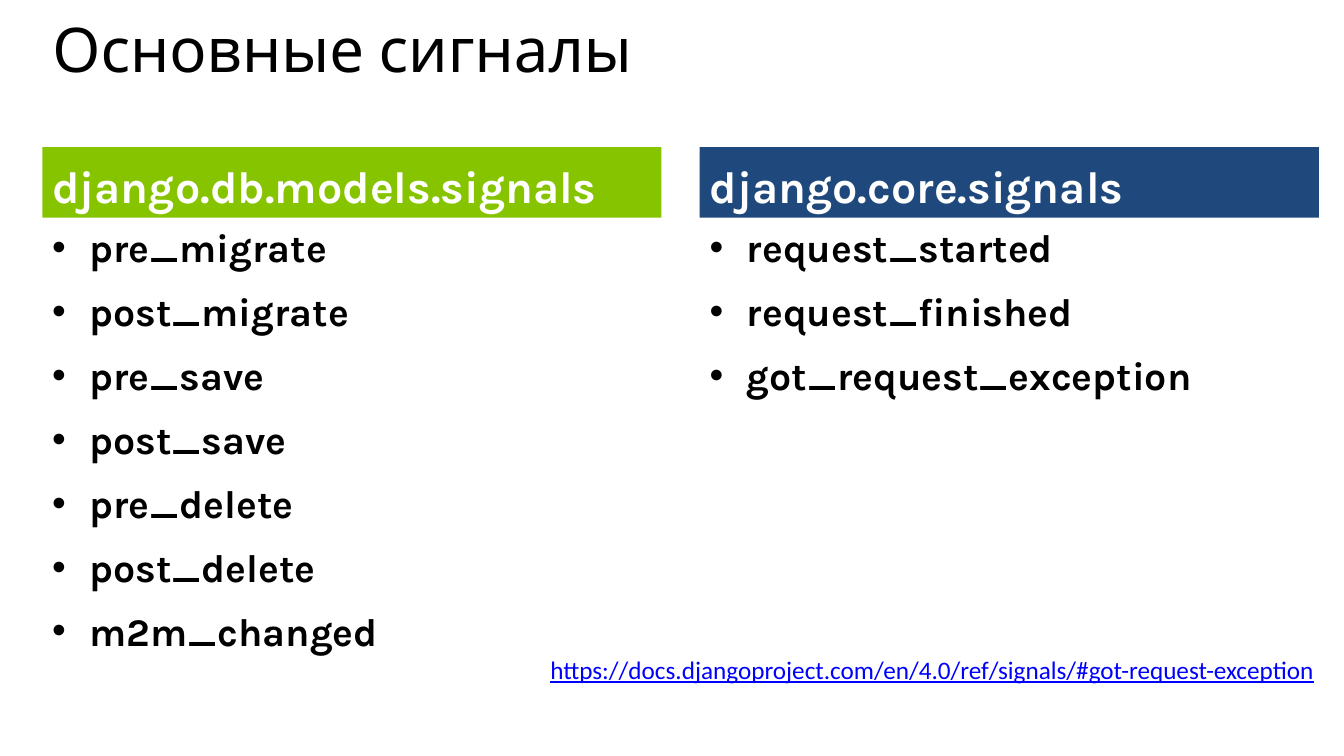
from lxml import etree
from pptx import Presentation
from pptx.dml.color import RGBColor
from pptx.enum import shapes, text
from pptx.oxml.ns import qn
from pptx.util import Inches, Pt

TITLE = "Основные сигналы"
COLUMNS = [
    ("django.db.models.signals", "86C400",
     ["pre_migrate", "post_migrate", "pre_save", "post_save",
      "pre_delete", "post_delete", "m2m_changed"]),
    ("django.core.signals", "1F497D",
     ["request_started", "request_finished", "got_request_exception"]),
]
LINK = "https://docs.djangoproject.com/en/4.0/ref/signals/#got-request-exception"

LEFT, COLUMN_WIDTH, COLUMN_STEP = 0.42, 6.14, 6.52
HEADER_TOP, HEADER_HEIGHT, LIST_HEIGHT = 1.46, 0.7, 5.08
INDENT = Inches(0.37)


def color(value):
    return RGBColor.from_string(value)


def style(para, font, size, fill, bold=False):
    para.font.name = font
    para.font.size = Pt(size)
    para.font.bold = bold
    para.font.color.rgb = color(fill)


def add_bullet(para):
    props = para._p.get_or_add_pPr()
    props.set("marL", str(INDENT))
    props.set("indent", str(-INDENT))
    etree.SubElement(props, qn("a:buFont")).set("typeface", "Arial")
    etree.SubElement(props, qn("a:buChar")).set("char", "•")


def add_header(page, left, name, fill):
    box = page.shapes.add_shape(
        shapes.MSO_SHAPE.RECTANGLE, Inches(left), Inches(HEADER_TOP),
        Inches(COLUMN_WIDTH), Inches(HEADER_HEIGHT))
    box.shadow.inherit = False
    box.fill.solid()
    box.fill.fore_color.rgb = color(fill)
    box.line.fill.background()
    frame = box.text_frame
    frame.word_wrap = True
    frame.vertical_anchor = text.MSO_ANCHOR.BOTTOM
    para = frame.paragraphs[0]
    para.text = name
    para.alignment = text.PP_ALIGN.LEFT
    style(para, "Karla", 32, "FFFFFF", bold=True)


def add_list(page, left, signals):
    box = page.shapes.add_textbox(
        Inches(left), Inches(HEADER_TOP + HEADER_HEIGHT + 0.01),
        Inches(COLUMN_WIDTH), Inches(LIST_HEIGHT))
    frame = box.text_frame
    frame.word_wrap = True
    for index, signal in enumerate(signals):
        para = frame.add_paragraph() if index else frame.paragraphs[0]
        para.text = signal
        add_bullet(para)
        style(para, "Karla", 28, "000000", bold=True)
        if index:
            para.space_before = Pt(12)


deck = Presentation()
deck.slide_width, deck.slide_height = Inches(13.33), Inches(7.5)
page = deck.slides.add_slide(deck.slide_layouts[5])

# Title
title = page.shapes.title
title.left, title.top = Inches(LEFT), Inches(0.2)
title.width, title.height = Inches(12.6), Inches(1.16)
title.text_frame.vertical_anchor = text.MSO_ANCHOR.TOP
heading = title.text_frame.paragraphs[0]
heading.text = TITLE
heading.alignment = text.PP_ALIGN.LEFT
heading.line_spacing = 0.8
style(heading, "Karla", 44, "000000")

# Signal columns
for number, (name, fill, signals) in enumerate(COLUMNS):
    left = LEFT + number * COLUMN_STEP
    add_header(page, left, name, fill)
    add_list(page, left, signals)

# Documentation address
address = page.shapes.add_textbox(
    Inches(5.36), Inches(6.44), Inches(7.9), Inches(0.4))
address.text_frame.word_wrap = True
para = address.text_frame.paragraphs[0]
para.text = LINK
style(para, "Calibri", 18, "0000FF")
para.font.underline = True

deck.save("out.pptx")
